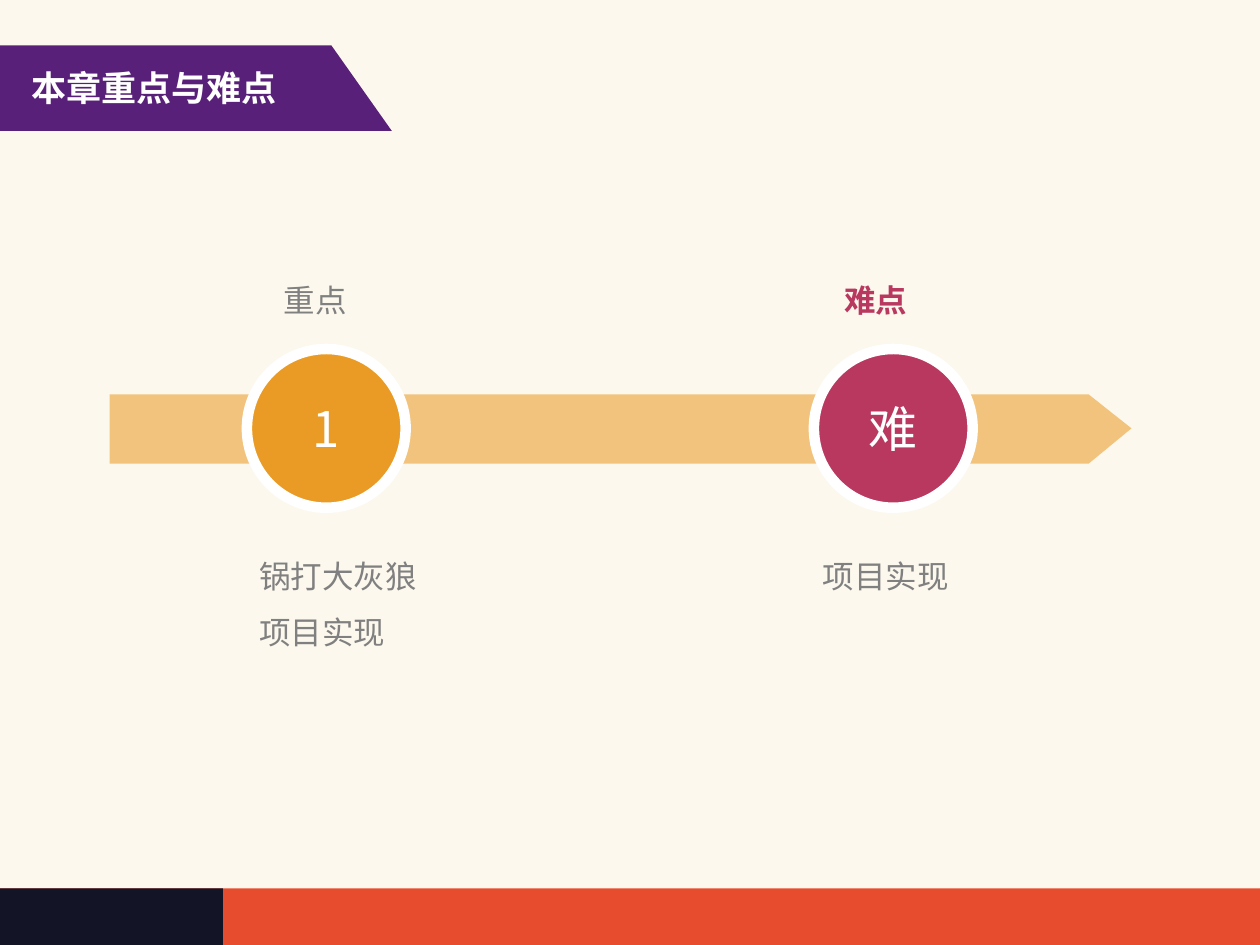
from pptx import Presentation
from pptx.dml.color import RGBColor
from pptx.enum.shapes import MSO_SHAPE
from pptx.enum.text import MSO_ANCHOR, MSO_AUTO_SIZE, PP_ALIGN
from pptx.oxml.ns import qn
from pptx.util import Inches, Pt

FONT = "Noto Sans CJK SC"
CREAM = RGBColor(0xFC, 0xF8, 0xED)
RED = RGBColor(0xE7, 0x4C, 0x2E)
NAVY = RGBColor(0x13, 0x14, 0x26)
PURPLE = RGBColor(0x59, 0x20, 0x79)
SAND = RGBColor(0xF2, 0xC3, 0x7D)
ORANGE = RGBColor(0xEA, 0x9B, 0x26)
CRIMSON = RGBColor(0xB8, 0x38, 0x60)
GRAY = RGBColor(0x80, 0x80, 0x80)
WHITE = RGBColor(0xFF, 0xFF, 0xFF)

TITLE = "本章重点与难点"
BANNER = [(0, 0.36), (2.63, 0.36), (3.11, 1.04), (0, 1.04)]
ARROW = [(0.87, 3.13), (8.64, 3.13), (8.98, 3.4), (8.64, 3.68), (0.87, 3.68)]
FOOTER_BARS = [(10, RED), (1.77, NAVY)]
FOOTER_TOP, FOOTER_HEIGHT = 7.05, 0.45

MILESTONES = [
    dict(center=2.59, mark="1", color=ORANGE,
         label="重点", label_left=2.2, label_color=GRAY, label_bold=False,
         details=["锅打大灰狼", "项目实现"], details_box=(2.01, 4.22, 1.43, 0.97)),
    dict(center=7.09, mark="难", color=CRIMSON,
         label="难点", label_left=6.65, label_color=CRIMSON, label_bold=True,
         details=["项目实现"], details_box=(6.48, 4.22, 1.11, 0.45)),
]
AXIS = 3.4
DIAMETER = 1.26
MARK_WIDTH, MARK_HEIGHT = 0.89, 0.6


def write(box, lines, size, color, bold=False, align=PP_ALIGN.LEFT,
          anchor=MSO_ANCHOR.TOP, wrap=True, spacing=None):
    frame = box.text_frame
    frame.margin_left = frame.margin_right = Inches(0.05)
    frame.margin_top = frame.margin_bottom = Inches(0.05)
    frame.word_wrap = wrap
    frame.auto_size = MSO_AUTO_SIZE.SHAPE_TO_FIT_TEXT
    frame.vertical_anchor = anchor
    frame.text = "\n".join(lines)
    for paragraph in frame.paragraphs:
        paragraph.alignment = align
        paragraph.line_spacing = spacing
        for run in paragraph.runs:
            run.font.size = Pt(size)
            run.font.bold = bold
            run.font.name = FONT
            run.font.color.rgb = color
            east_asian = run.font._element.makeelement(qn("a:ea"), {"typeface": FONT})
            run.font._element.find(qn("a:latin")).addnext(east_asian)


def paint(shape, color, outline=None):
    shape.shadow.inherit = False
    shape.fill.solid()
    shape.fill.fore_color.rgb = color
    if outline is None:
        shape.line.fill.background()
    else:
        shape.line.color.rgb = outline
        shape.line.width = Pt(6)


def add_polygon(shapes, points, color):
    corners = [(Inches(x), Inches(y)) for x, y in points]
    builder = shapes.build_freeform(*corners[0])
    builder.add_line_segments(corners[1:], close=True)
    paint(builder.convert_to_shape(), color)


def inches(*lengths):
    return [Inches(length) for length in lengths]


def add_milestone(shapes, item):
    badge = shapes.add_group_shape().shapes
    circle = badge.add_shape(MSO_SHAPE.OVAL, *inches(
        item["center"] - DIAMETER / 2, AXIS - DIAMETER / 2, DIAMETER, DIAMETER))
    paint(circle, item["color"], outline=WHITE)
    mark = badge.add_textbox(*inches(
        item["center"] - MARK_WIDTH / 2, AXIS - MARK_HEIGHT / 2, MARK_WIDTH, MARK_HEIGHT))
    write(mark, [item["mark"]], 28, WHITE, align=PP_ALIGN.CENTER, anchor=MSO_ANCHOR.MIDDLE)

    label = shapes.add_textbox(*inches(item["label_left"], 2.18, 0.61, 0.45))
    write(label, [item["label"]], 18, item["label_color"], bold=item["label_bold"], wrap=False)
    details = shapes.add_textbox(*inches(*item["details_box"]))
    write(details, item["details"], 18, GRAY, wrap=False, spacing=1.5)


def main():
    deck = Presentation()
    deck.slide_width, deck.slide_height = inches(10, 7.5)
    slide = deck.slides.add_slide(deck.slide_layouts[5])
    slide.background.fill.solid()
    slide.background.fill.fore_color.rgb = CREAM
    shapes = slide.shapes

    for width, color in FOOTER_BARS:
        bar = shapes.add_shape(MSO_SHAPE.RECTANGLE, *inches(0, FOOTER_TOP, width, FOOTER_HEIGHT))
        paint(bar, color)

    add_polygon(shapes, BANNER, PURPLE)
    title = shapes.title
    title.left, title.top, title.width, title.height = inches(0.2, 0.48, 2.59, 0.49)
    write(title, [TITLE], 20, WHITE, bold=True)
    # Bring the title in front of its banner.
    title.element.getparent().append(title.element)

    add_polygon(shapes, ARROW, SAND)
    for item in MILESTONES:
        add_milestone(shapes, item)
    deck.save("out.pptx")


if __name__ == "__main__":
    main()
